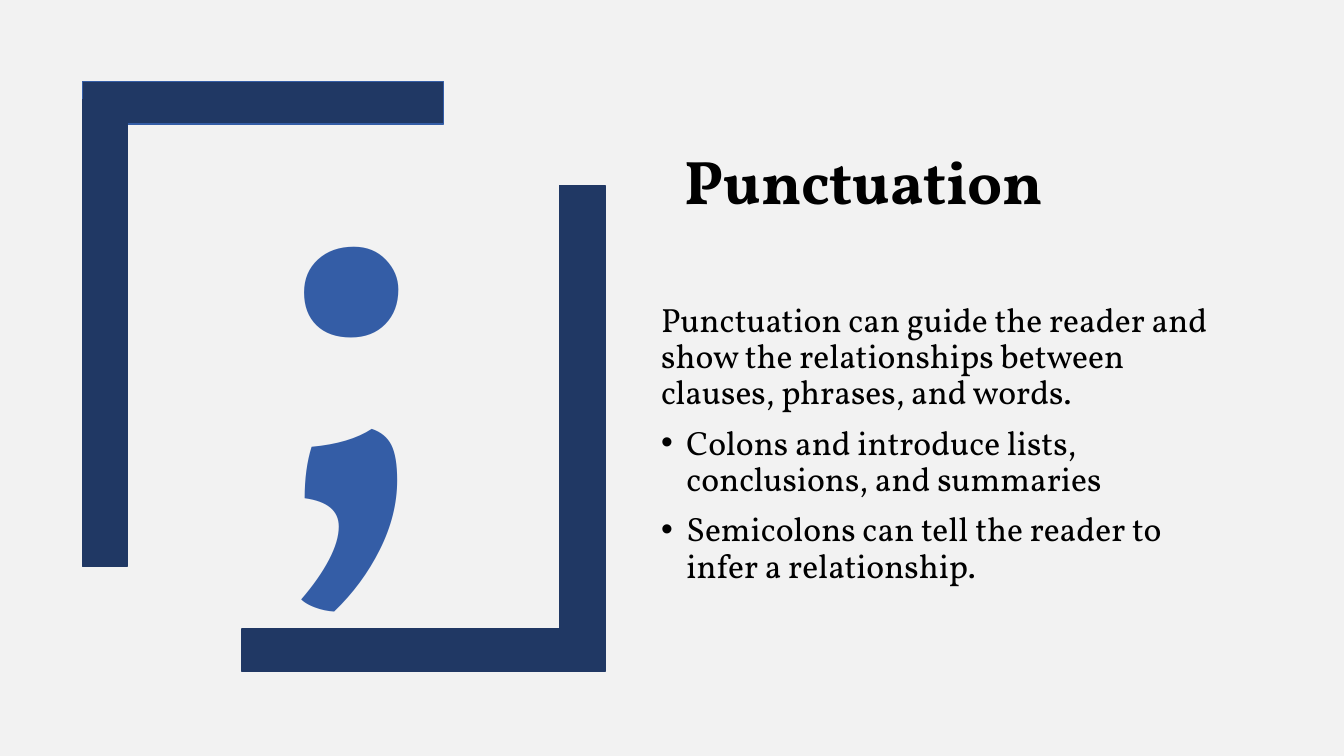
from lxml import etree
from pptx import Presentation
from pptx.dml.color import RGBColor
from pptx.enum.shapes import MSO_SHAPE
from pptx.enum.text import MSO_ANCHOR, PP_ALIGN
from pptx.oxml.ns import qn
from pptx.util import Inches, Pt

RECTANGLE = MSO_SHAPE.RECTANGLE
TOP, MIDDLE = MSO_ANCHOR.TOP, MSO_ANCHOR.MIDDLE
LEFT, CENTER = PP_ALIGN.LEFT, PP_ALIGN.CENTER

FONT = "Vollkorn"
COLORS = {
    "background": "F2F2F2",
    "text": "000000",
    "frame": "203864",
    "accent": "345DA6",
}

INTRO = ("Punctuation can guide the reader and show the relationships "
         "between clauses, phrases, and words.")
BULLETS = [
    "Colons and introduce lists, conclusions, and summaries",
    "Semicolons can tell the reader to infer a relationship.",
]
# left, top, width, height, outline
FRAME_BARS = [
    (0.82, 0.81, 3.58, 0.42, "accent"),
    (2.4, 6.24, 3.58, 0.42, "frame"),
    (0.82, 0.99, 0.44, 4.63, "frame"),
    (5.55, 1.84, 0.45, 4.82, "frame"),
]


def color(name):
    return RGBColor.from_string(COLORS[name])


class SlideBuilder:
    def __init__(self, deck):
        self.slide = deck.slides.add_slide(deck.slide_layouts[6])
        fill = self.slide.background.fill
        fill.solid()
        fill.fore_color.rgb = color("background")

    def bar(self, left, top, width, height, outline):
        bar = self.slide.shapes.add_shape(
            RECTANGLE, Inches(left), Inches(top), Inches(width), Inches(height))
        bar.shadow.inherit = False
        bar.fill.solid()
        bar.fill.fore_color.rgb = color("frame")
        bar.line.color.rgb = color(outline)
        bar.line.width = Pt(1)

    def text_box(self, left, top, width, height, anchor=TOP):
        box = self.slide.shapes.add_textbox(
            Inches(left), Inches(top), Inches(width), Inches(height))
        box.text_frame.word_wrap = True
        box.text_frame.vertical_anchor = anchor
        return box.text_frame

    def style(self, para, size, ink="text", bold=False, align=LEFT, spacing=0.9):
        para.alignment = align
        para.line_spacing = spacing
        for span in para.runs:
            span.font.name = FONT
            span.font.size = Pt(size)
            span.font.bold = bold
            span.font.color.rgb = color(ink)

    def bullet(self, frame, text, size):
        para = frame.add_paragraph()
        para.text = text
        para.space_before = Pt(10)
        properties = para._p.get_or_add_pPr()
        properties.set("marL", str(Inches(0.25)))
        properties.set("indent", str(Inches(-0.25)))
        self.style(para, size)
        etree.SubElement(properties, qn("a:buFont")).set("typeface", "Arial")
        etree.SubElement(properties, qn("a:buChar")).set("char", "•")


def main():
    deck = Presentation()
    deck.slide_width, deck.slide_height = Inches(13.33), Inches(7.5)
    page = SlideBuilder(deck)

    title = page.text_box(6.69, 0.99, 5.74, 1.68, MIDDLE)
    title.text = "Punctuation"
    page.style(title.paragraphs[0], 44, bold=True)

    body = page.text_box(6.46, 2.96, 5.89, 3.79)
    body.text = INTRO
    page.style(body.paragraphs[0], 24)
    for text in BULLETS:
        page.bullet(body, text, 24)

    for bar in FRAME_BARS:
        page.bar(*bar)

    semicolon = page.text_box(1.49, -0.81, 3.93, 7.05, MIDDLE)
    semicolon.text = ";"
    page.style(semicolon.paragraphs[0], 413, "accent", True, CENTER, 1.0)

    deck.save("out.pptx")


if __name__ == "__main__":
    main()
